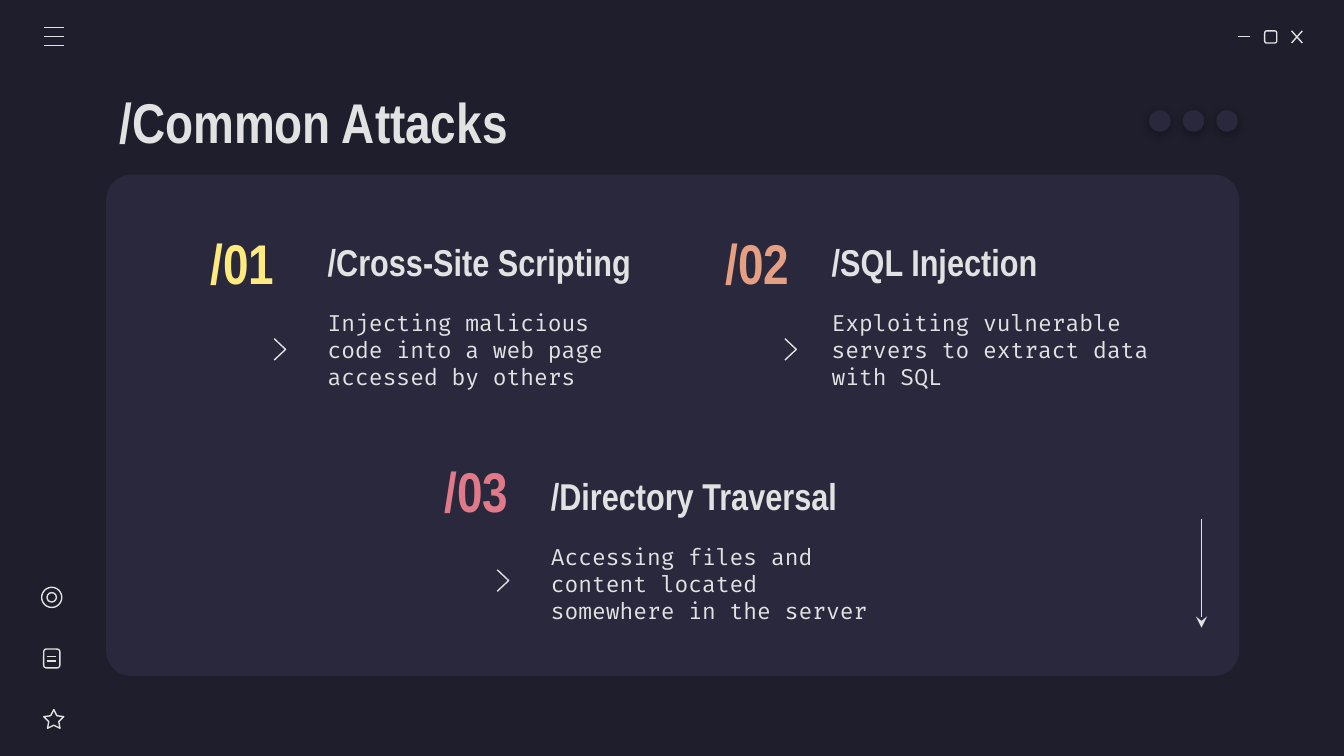
from dataclasses import dataclass

from lxml import etree
from pptx import Presentation
from pptx.dml.color import RGBColor
from pptx.enum.shapes import MSO_CONNECTOR, MSO_SHAPE
from pptx.enum.text import MSO_ANCHOR, PP_ALIGN
from pptx.oxml.ns import qn
from pptx.util import Inches, Pt

ROUNDED = MSO_SHAPE.ROUNDED_RECTANGLE
OVAL = MSO_SHAPE.OVAL
STAR = MSO_SHAPE.STAR_5_POINT
STRAIGHT = MSO_CONNECTOR.STRAIGHT
MIDDLE = MSO_ANCHOR.MIDDLE
LEFT, CENTER = PP_ALIGN.LEFT, PP_ALIGN.CENTER

# The slide is a grid of square cells, 100 columns by 56.25 rows.
COLUMNS, ROWS = 100, 56.25
CELL = Inches(10) / COLUMNS


@dataclass(frozen=True)
class Theme:
    background: str = "1E1E2C"
    panel: str = "29283D"
    ink: str = "E2E2E2"
    yellow: str = "FFEA7D"
    orange: str = "E5A083"
    pink: str = "E07A88"
    display_font: str = "Arial Narrow"
    body_font: str = "Fira Code"
    display_size: int = 30
    heading_size: int = 20
    body_size: int = 12
    stroke: float = 0.75


THEME = Theme()

# number, colour, number (column, row), heading (column, row), chevron (column, row), name, summary
ATTACKS = [
    ("/01", THEME.yellow, (13.5, 16.7), (23.4, 16.7), (20.4, 25.2),
     "/Cross-Site Scripting",
     "Injecting malicious code into a web page accessed by others"),
    ("/02", THEME.orange, (51.8, 16.7), (60.9, 16.7), (58.4, 25.2),
     "/SQL Injection",
     "Exploiting vulnerable servers to extract data with SQL"),
    ("/03", THEME.pink, (30.9, 33.7), (40, 34.1), (37, 42.4),
     "/Directory Traversal",
     "Accessing files and content located somewhere in the server"),
]


def cells(*counts):
    return [round(count * CELL) for count in counts]


def rgb(color):
    return RGBColor.from_string(color)


def set_stroke(line):
    line.color.rgb = rgb(THEME.ink)
    line.width = Pt(THEME.stroke)


def add_text(slide, box, text, size, font, color=THEME.ink, bold=True, align=LEFT):
    frame = slide.shapes.add_textbox(*cells(*box)).text_frame
    frame.word_wrap = True
    frame.vertical_anchor = MIDDLE
    frame.margin_left = frame.margin_right = Inches(0.1)
    frame.margin_top = frame.margin_bottom = Inches(0.1)
    paragraph = frame.paragraphs[0]
    paragraph.text = text
    paragraph.alignment = align
    paragraph.font.size = Pt(size)
    paragraph.font.name = font
    paragraph.font.bold = bold
    paragraph.font.color.rgb = rgb(color)


def add_filled(shapes, kind, box):
    shape = shapes.add_shape(kind, *cells(*box))
    shape.shadow.inherit = False
    shape.fill.solid()
    shape.fill.fore_color.rgb = rgb(THEME.panel)
    shape.line.fill.background()
    return shape


def add_outline(shapes, kind, box):
    shape = shapes.add_shape(kind, *cells(*box))
    shape.shadow.inherit = False
    shape.fill.background()
    set_stroke(shape.line)
    return shape


def add_line(shapes, start, end, arrow=False):
    connector = shapes.add_connector(STRAIGHT, *cells(*start, *end))
    set_stroke(connector.line)
    properties = connector._element.spPr
    if arrow:
        etree.SubElement(properties.find(qn("a:ln")), qn("a:tailEnd"), type="stealth")
    etree.SubElement(properties, qn("a:effectLst"))


def add_chevron(slide, column, row):
    points = [cells(column + dx, row + dy) for dx, dy in ((0, 0), (0.85, 0.8), (0, 1.6))]
    builder = slide.shapes.build_freeform(*points[0])
    builder.add_line_segments(points[1:], close=False)
    chevron = builder.convert_to_shape()
    chevron.shadow.inherit = False
    chevron.fill.background()
    set_stroke(chevron.line)


def add_soft_shadow(shape):
    effects = shape._element.spPr.find(qn("a:effectLst"))
    shadow = etree.SubElement(effects, qn("a:outerShdw"), blurRad=str(Pt(4.5)),
                              dist=str(Pt(1.5)), dir="5400000", rotWithShape="0")
    color = etree.SubElement(shadow, qn("a:srgbClr"), val="000000")
    etree.SubElement(color, qn("a:alpha"), val="30000")


def add_window_controls(slide):
    controls = slide.shapes.add_group_shape().shapes
    add_line(controls, (92.1, 2.7), (93, 2.7))
    add_outline(controls, ROUNDED, (94.1, 2.3, 0.9, 0.9))
    add_line(controls, (96.1, 2.3), (96.9, 3.2))
    add_line(controls, (96.9, 2.3), (96.1, 3.2))


def add_menu_icon(slide):
    menu = slide.shapes.add_group_shape().shapes
    for bar in range(3):
        row = 2.05 + bar * 0.67
        add_line(menu, (3.25, row), (4.75, row))


def add_sidebar(slide):
    icons = slide.shapes.add_group_shape().shapes
    add_outline(icons, OVAL, (3.1, 43.7, 1.5, 1.5))
    add_outline(icons, OVAL, (3.5, 44.1, 0.7, 0.7))
    add_outline(icons, ROUNDED, (3.25, 48.3, 1.2, 1.4))
    for row in (48.85, 49.2):
        add_line(icons, (3.5, row), (4.2, row))
    star = add_outline(icons, STAR, (3.25, 52.8, 1.5, 1.4))
    star.adjustments[0] = 0.25


def add_dots(slide):
    dots = slide.shapes.add_group_shape().shapes
    for dot in range(3):
        add_soft_shadow(add_filled(dots, OVAL, (85.5 + dot * 2.5, 8.2, 1.6, 1.6)))


def add_attack(slide, number, color, number_at, heading_at, chevron_at, name, summary):
    column, row = heading_at
    add_text(slide, (*heading_at, 29, 5.6), name, THEME.heading_size, THEME.display_font)
    add_text(slide, (*number_at, 9.1, 5.6), number, THEME.display_size,
             THEME.display_font, color, align=CENTER)
    add_text(slide, (column, row + 5.55, 25.6, 7.5), summary, THEME.body_size,
             THEME.body_font, bold=False)
    add_chevron(slide, *chevron_at)


def main():
    deck = Presentation()
    deck.slide_width, deck.slide_height = cells(COLUMNS, ROWS)
    slide = deck.slides.add_slide(deck.slide_layouts[6])
    slide.background.fill.solid()
    slide.background.fill.fore_color.rgb = rgb(THEME.background)

    panel = add_filled(slide.shapes, ROUNDED, (7.9, 13, 84.3, 37.3))
    panel.adjustments[0] = 0.05
    add_window_controls(slide)
    add_text(slide, (7.9, 5.9, 84.3, 6.3), "/Common Attacks",
             THEME.display_size, THEME.display_font)
    for attack in ATTACKS:
        add_attack(slide, *attack)
    add_menu_icon(slide)
    add_sidebar(slide)
    add_line(slide.shapes, (89.4, 38.6), (89.4, 46.7), arrow=True)
    add_dots(slide)
    deck.save("out.pptx")


if __name__ == "__main__":
    main()
